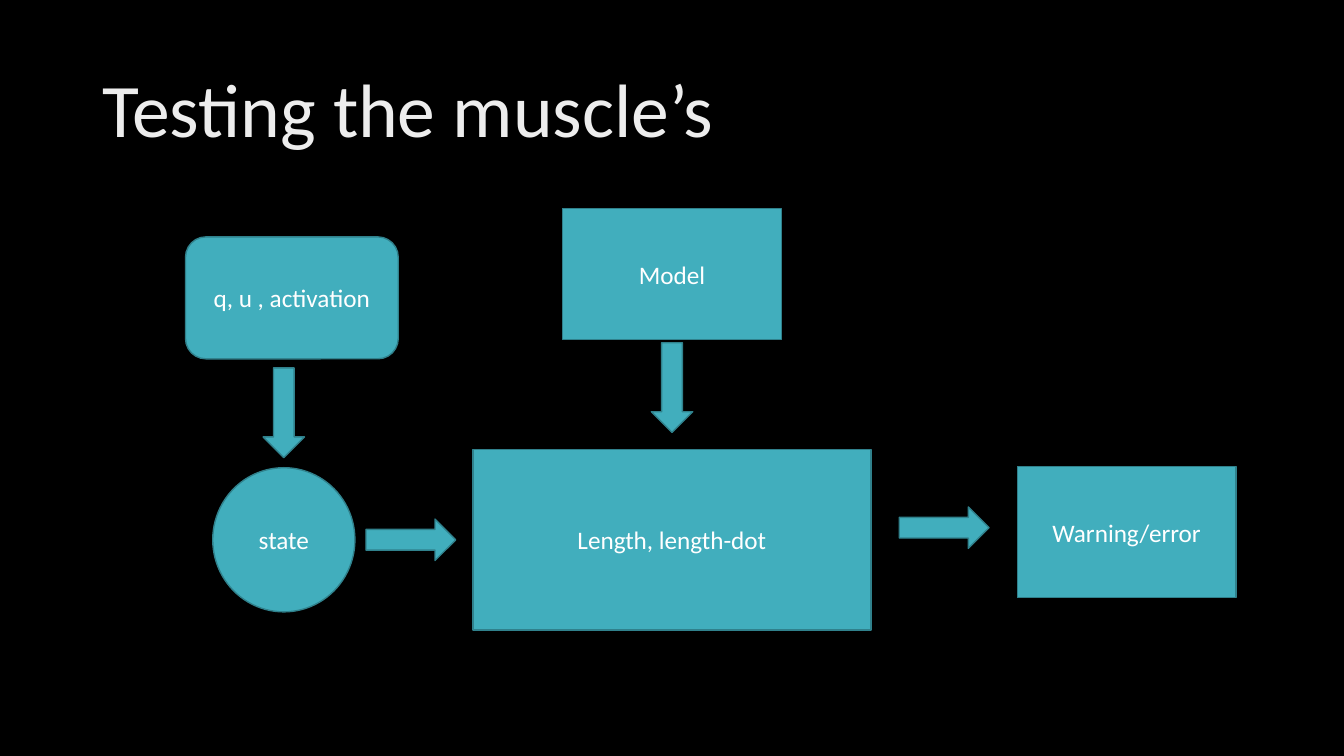
import dataclasses

import pptx
import pptx.dml.color
import pptx.enum.shapes
import pptx.enum.text
import pptx.util


@dataclasses.dataclass(frozen=True)
class Theme:
    background: str = "000000"
    heading: str = "EDEDED"
    fill: str = "41AEBD"
    outline: str = "30818C"
    label: str = "FFFFFF"
    font: str = "Calibri"
    heading_size: int = 54
    label_size: int = 18
    outline_width: int = 1


theme = Theme()
color = pptx.dml.color.RGBColor.from_string
kinds = pptx.enum.shapes.MSO_SHAPE
alignments = pptx.enum.text.PP_ALIGN

deck = pptx.Presentation()
deck.slide_width = pptx.util.Inches(13.33)
deck.slide_height = pptx.util.Inches(7.5)
column = deck.slide_width / 100
row = deck.slide_height / 100

slide = deck.slides.add_slide(deck.slide_layouts[6])
slide.background.fill.solid()
slide.background.fill.fore_color.rgb = color(theme.background)


def box(center_x, center_y, width, height):
    return (
        round((center_x - width / 2) * column),
        round((center_y - height / 2) * row),
        round(width * column),
        round(height * row),
    )


def write(holder, text, size, tint, alignment):
    frame = holder.text_frame
    frame.word_wrap = True
    frame.vertical_anchor = pptx.enum.text.MSO_ANCHOR.MIDDLE
    paragraph = frame.paragraphs[0]
    paragraph.text = text
    paragraph.alignment = alignment
    paragraph.font.name = theme.font
    paragraph.font.size = pptx.util.Pt(size)
    paragraph.font.color.rgb = color(tint)
    return paragraph


heading = slide.shapes.add_textbox(*box(50, 15, 86.27, 19.33))
heading_line = write(
    heading, "Testing the muscle’s", theme.heading_size, theme.heading, alignments.LEFT
)
heading_line.line_spacing = 0.9

main_x, state_x, flow_y = 50, 21.12, 71.4
block_size = (16.28, 17.33)
arrow_size = (3.08, 11.87)

steps = [
    (kinds.RECTANGLE, "Length, length-dot", main_x, flow_y, (29.63, 23.87), 0),
    (kinds.RECTANGLE, "Model", main_x, 36.27, block_size, 0),
    (kinds.OVAL, "state", state_x, flow_y, (10.58, 19.07), 0),
    (kinds.ROUNDED_RECTANGLE, "q, u , activation", 21.72, 39.4, (15.83, 16.13), 0),
    (kinds.DOWN_ARROW, "", 30.57, flow_y, arrow_size, 270),
    (kinds.DOWN_ARROW, "", state_x, 54.6, arrow_size, 0),
    (kinds.DOWN_ARROW, "", main_x, 51.27, arrow_size, 0),
    (kinds.DOWN_ARROW, "", 70.25, 69.8, arrow_size, 270),
    (kinds.RECTANGLE, "Warning/error", 83.83, 70.4, block_size, 0),
]

for kind, label, center_x, center_y, size, turn in steps:
    step = slide.shapes.add_shape(kind, *box(center_x, center_y, *size))
    step.rotation = turn
    step.shadow.inherit = False
    step.fill.solid()
    step.fill.fore_color.rgb = color(theme.fill)
    step.line.color.rgb = color(theme.outline)
    step.line.width = pptx.util.Pt(theme.outline_width)
    if label:
        write(step, label, theme.label_size, theme.label, alignments.CENTER)

deck.save("out.pptx")
